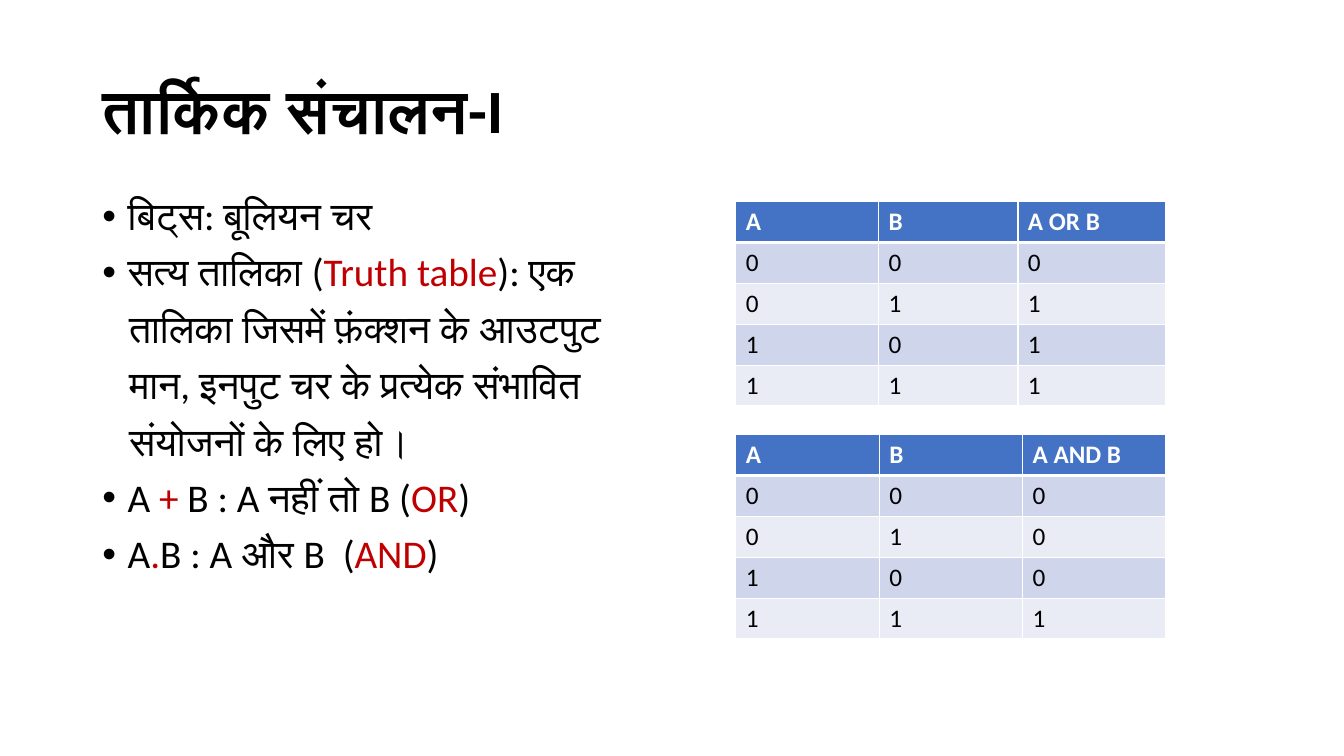
from lxml import etree
from pptx import Presentation
from pptx import util as u
from pptx.dml.color import RGBColor
from pptx.enum import text
from pptx.oxml.ns import qn

COLORS = {
    "text": "000000",
    "accent": "C00000",
    "white": "FFFFFF",
    "header": "4472C4",
    "odd_row": "CFD5EA",
    "even_row": "E9EBF5",
}
FONT = "Calibri"

TITLE = "तार्किक संचालन-I"
BODY = [
    ("bullet", [("बिट्स: बूलियन चर", "text")]),
    ("bullet", [("सत्य तालिका (", "text"), ("Truth table", "accent"), ("): एक", "text")]),
    ("continued", [("तालिका जिसमें फ़ंक्शन के आउटपुट", "text")]),
    ("continued", [("मान, इनपुट चर के प्रत्येक संभावित", "text")]),
    ("continued", [("संयोजनों के लिए हो।", "text")]),
    ("bullet", [("A ", "text"), ("+", "accent"), (" B : A नहीं तो B (", "text"),
                ("OR", "accent"), (")", "text")]),
    ("bullet", [("A", "text"), (".", "accent"), ("B : A और B  (", "text"),
                ("AND", "accent"), (")", "text")]),
]
INPUTS = [("0", "0"), ("0", "1"), ("1", "0"), ("1", "1")]
TRUTH_TABLES = [
    {"heading": "A OR B", "outputs": "0111", "top": 144, "widths": (102, 99.5, 105.5)},
    {"heading": "A AND B", "outputs": "0001", "top": 310.5, "widths": (102.4, 102.4, 102.4)},
]
TABLE_LEFT = 525.6
ROW_HEIGHT = 29
TITLE_BOX = (66, 28.75, 828, 104.4)
BODY_BOX = (66, 136.9, 828, 342.6)
BULLET_INDENT = 18
CONTINUED_INDENT = 19


def place(shape, box):
    shape.left, shape.top, shape.width, shape.height = (u.Pt(value) for value in box)


def format_run(run, size, color, bold=False):
    run.font.name = FONT
    run.font.size = u.Pt(size)
    run.font.bold = bold
    run.font.color.rgb = RGBColor.from_string(COLORS[color])


def format_paragraph(paragraph, space_before):
    paragraph.alignment = text.PP_ALIGN.LEFT
    paragraph.line_spacing = 0.9
    paragraph.space_before = u.Pt(space_before)


def set_bullet(paragraph, kind):
    properties = paragraph._p.get_or_add_pPr()
    if kind == "bullet":
        properties.set("marL", str(u.Pt(BULLET_INDENT)))
        properties.set("indent", str(-u.Pt(BULLET_INDENT)))
        etree.SubElement(properties, qn("a:buFont")).set("typeface", "Arial")
        etree.SubElement(properties, qn("a:buChar")).set("char", "•")
    else:
        properties.set("marL", str(u.Pt(CONTINUED_INDENT)))
        properties.set("indent", "0")
        etree.SubElement(properties, qn("a:buNone"))


def set_borders(cell, row):
    properties = cell._tc.get_or_add_tcPr()
    widths = {"lnL": 1, "lnR": 1, "lnT": 3 if row == 1 else 1, "lnB": 3 if row == 0 else 1}
    for position, (side, width) in enumerate(widths.items()):
        line = etree.Element(qn("a:" + side), w=str(u.Pt(width)))
        fill = etree.SubElement(line, qn("a:solidFill"))
        etree.SubElement(fill, qn("a:srgbClr")).set("val", COLORS["white"])
        properties.insert(position, line)


def add_title(slide):
    title = slide.shapes.title
    place(title, TITLE_BOX)
    frame = title.text_frame
    frame.text = TITLE
    frame.auto_size = text.MSO_AUTO_SIZE.NONE
    frame.vertical_anchor = text.MSO_ANCHOR.MIDDLE
    format_paragraph(frame.paragraphs[0], 0)
    format_run(frame.paragraphs[0].runs[0], 44, "text", True)


def add_body(slide):
    body = slide.placeholders[1]
    place(body, BODY_BOX)
    frame = body.text_frame
    frame.auto_size = text.MSO_AUTO_SIZE.NONE
    for index, (kind, pieces) in enumerate(BODY):
        paragraph = frame.add_paragraph() if index else frame.paragraphs[0]
        format_paragraph(paragraph, 10)
        set_bullet(paragraph, kind)
        for wording, color in pieces:
            run = paragraph.add_run()
            run.text = wording
            format_run(run, 28, color)


def add_truth_table(slide, heading, outputs, top, widths):
    rows = [("A", "B", heading)]
    rows += [(*pair, output) for pair, output in zip(INPUTS, outputs)]
    table = slide.shapes.add_table(
        len(rows), len(widths), u.Pt(TABLE_LEFT), u.Pt(top),
        u.Pt(sum(widths)), u.Pt(ROW_HEIGHT * len(rows))).table
    for column, width in zip(table.columns, widths):
        column.width = u.Pt(width)
    for row, values in enumerate(rows):
        fill = "header" if row == 0 else "odd_row" if row % 2 else "even_row"
        for column, value in enumerate(values):
            cell = table.cell(row, column)
            cell.text_frame.text = value
            cell.fill.solid()
            cell.fill.fore_color.rgb = RGBColor.from_string(COLORS[fill])
            set_borders(cell, row)
            format_run(cell.text_frame.paragraphs[0].runs[0], 18,
                       "text" if row else "white", row == 0)


def main():
    presentation = Presentation()
    presentation.slide_width = u.Pt(960)
    presentation.slide_height = u.Pt(540)
    slide = presentation.slides.add_slide(presentation.slide_layouts[1])
    add_title(slide)
    add_body(slide)
    for truth_table in TRUTH_TABLES:
        add_truth_table(slide, **truth_table)
    presentation.save("out.pptx")


if __name__ == "__main__":
    main()
